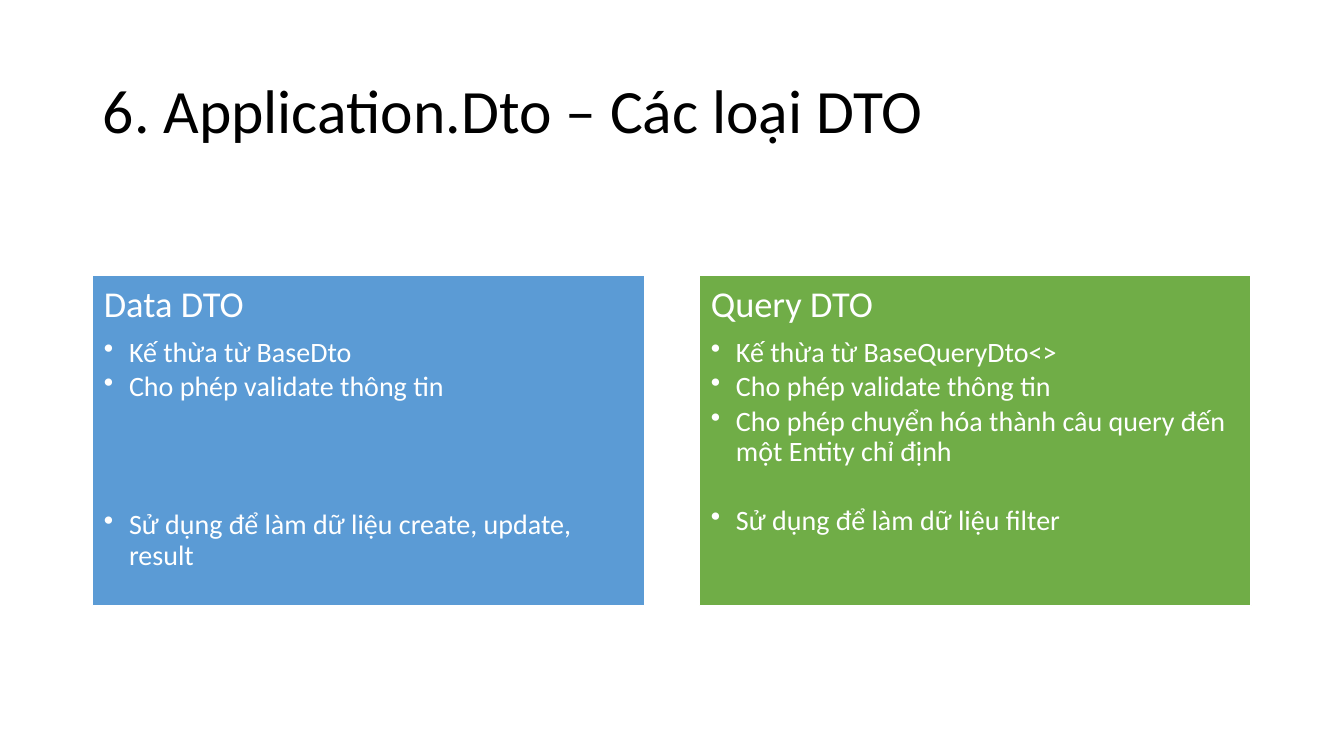
from lxml import etree
from pptx import Presentation
from pptx.dml.color import RGBColor
from pptx.enum.shapes import MSO_SHAPE
from pptx.enum.text import MSO_ANCHOR, PP_ALIGN
from pptx.oxml.ns import qn
from pptx.util import Inches, Pt


def color(hex_value):
    return RGBColor.from_string(hex_value)


def add_text(paragraph, text, size, hex_value):
    paragraph.alignment = PP_ALIGN.LEFT
    paragraph.line_spacing = 0.9
    run = paragraph.add_run()
    run.text = text
    run.font.name = "Calibri"
    run.font.size = Pt(size)
    run.font.color.rgb = color(hex_value)


presentation = Presentation()
presentation.slide_width = Inches(13.33)
presentation.slide_height = Inches(7.5)
slide = presentation.slides.add_slide(presentation.slide_layouts[5])

title = slide.shapes.title
title.left, title.top = Inches(0.92), Inches(0.4)
title.width, title.height = Inches(11.5), Inches(1.45)
title.text_frame.vertical_anchor = MSO_ANCHOR.MIDDLE
add_text(title.text_frame.paragraphs[0], "6. Application.Dto – Các loại DTO", 44, "000000")

dto_types = [
    ("Data DTO", "5B9BD5", 74, [
        "Kế thừa từ BaseDto",
        "Cho phép validate thông tin",
        "Sử dụng để làm dữ liệu create, update, result",
    ]),
    ("Query DTO", "70AD47", 24.6, [
        "Kế thừa từ BaseQueryDto<>",
        "Cho phép validate thông tin",
        "Cho phép chuyển hóa thành câu query đến một Entity chỉ định",
        "Sử dụng để làm dữ liệu filter",
    ]),
]

for column, (heading, fill, usage_gap, features) in enumerate(dto_types):
    card = slide.shapes.add_shape(
        MSO_SHAPE.RECTANGLE,
        Inches(0.92 + 6.02 * column), Inches(2.73), Inches(5.47), Inches(3.28),
    )
    card.shadow.inherit = False
    card.fill.solid()
    card.fill.fore_color.rgb = color(fill)
    card.line.color.rgb = color("FFFFFF")
    card.line.width = Pt(1)

    frame = card.text_frame
    frame.word_wrap = True
    frame.vertical_anchor = MSO_ANCHOR.TOP
    frame.margin_left = frame.margin_right = Inches(0.11)
    frame.margin_top = frame.margin_bottom = Inches(0.11)

    heading_line = frame.paragraphs[0]
    heading_line.space_after = Pt(9)
    add_text(heading_line, heading, 26, "FFFFFF")

    for feature in features:
        item = frame.add_paragraph()
        item.level = 1
        item.space_before = Pt(usage_gap if feature == features[-1] else 0)
        item.space_after = Pt(3)
        add_text(item, feature, 20, "FFFFFF")
        properties = item._p.get_or_add_pPr()
        properties.set("marL", str(Inches(0.25)))
        properties.set("indent", str(Inches(-0.25)))
        etree.SubElement(properties, qn("a:buChar")).set("char", "•")

presentation.save("out.pptx")
